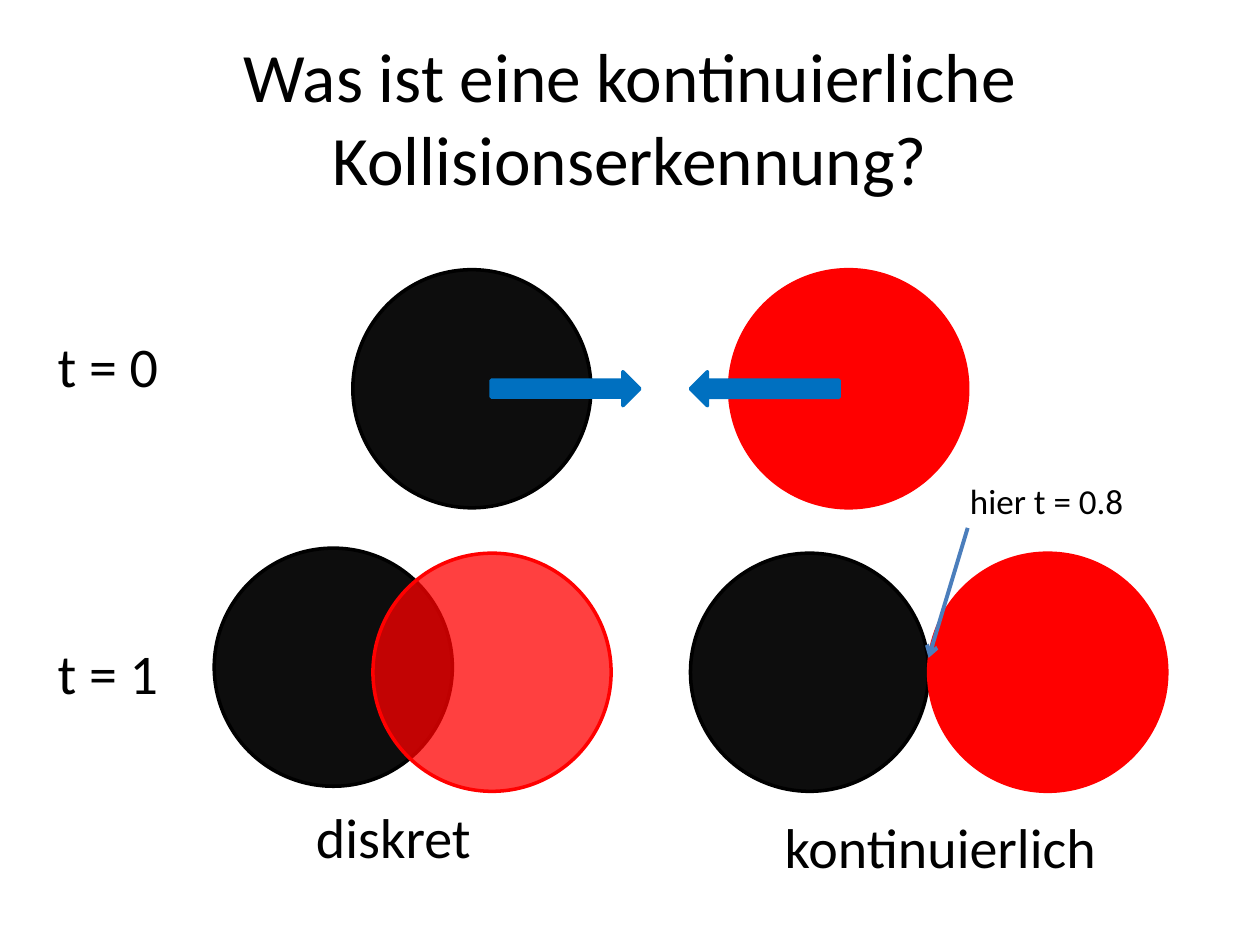
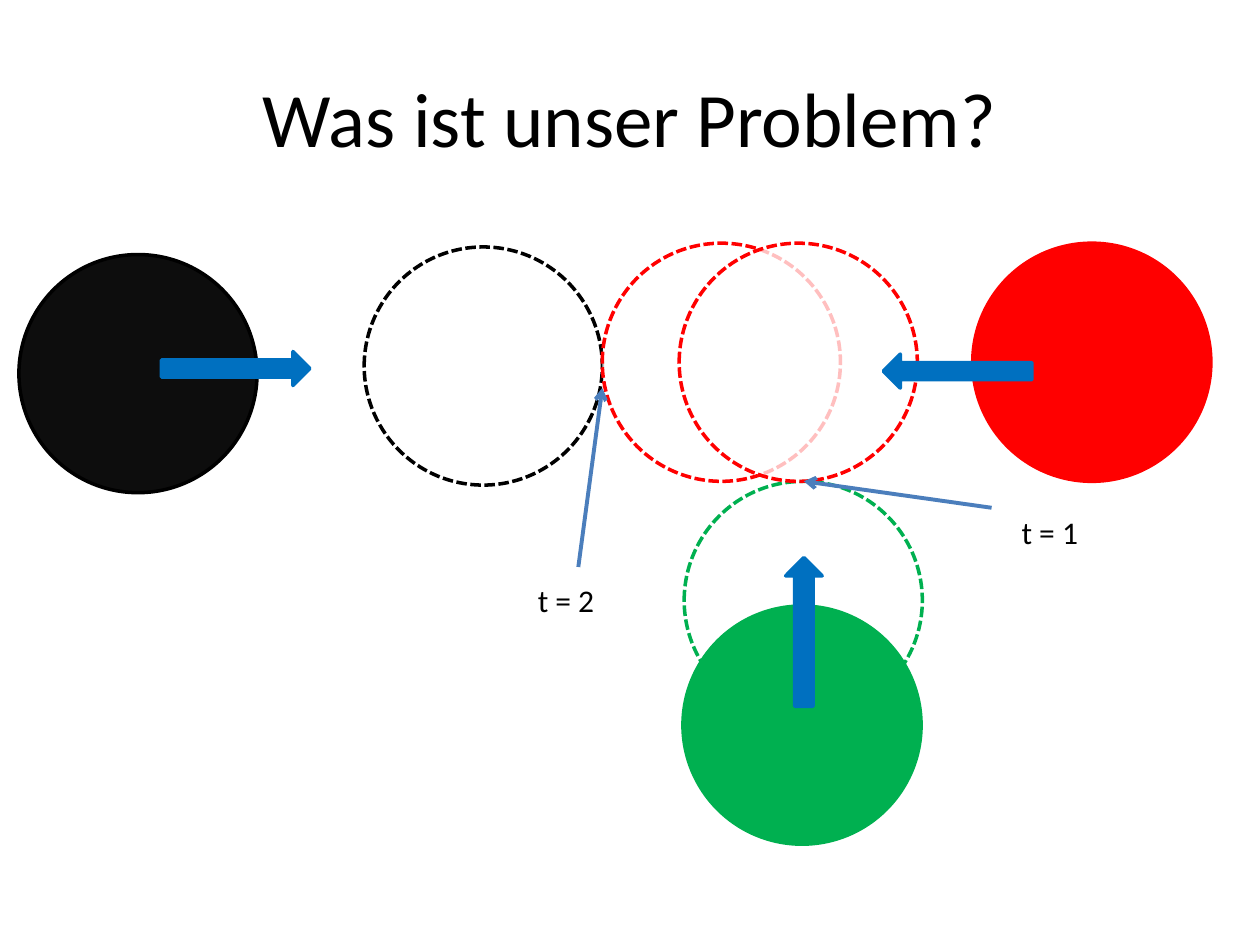
from collections import namedtuple

from pptx import Presentation
from pptx import util as u
from pptx.dml.color import RGBColor
from pptx.enum import dml, shapes, text
from pptx.oxml import ns, xmlchemy

BLACK = RGBColor(0x00, 0x00, 0x00)
COAL = RGBColor(0x0D, 0x0D, 0x0D)
WHITE = RGBColor(0xFF, 0xFF, 0xFF)
RED = RGBColor(0xFF, 0x00, 0x00)
GREEN = RGBColor(0x00, 0xB0, 0x50)
ARROW_BLUE = RGBColor(0x00, 0x70, 0xC0)
POINTER_BLUE = RGBColor(0x4B, 0x7E, 0xBC)

FONT = "Calibri"
SLIDE_W, SLIDE_H = 10, 7.5
BALL = 1.89
ARROW_L, ARROW_H = 1.18, 0.27

Box = namedtuple("Box", "x y w h")
TITLE = Box(0.05 * SLIDE_W, 0.04 * SLIDE_H, 0.9 * SLIDE_W, SLIDE_H / 6)


def sub(parent, tag, **attrs):
    """Append a DrawingML element with the given attributes."""
    el = xmlchemy.OxmlElement(tag)
    for key, value in attrs.items():
        el.set(key, value)
    parent.append(el)


def add_text(s, words, box, size=32, align=text.PP_ALIGN.LEFT,
             anchor=text.MSO_ANCHOR.TOP, wrap=False):
    """Add one paragraph of text in a box."""
    tf = s.shapes.add_textbox(*map(u.Inches, box)).text_frame
    tf.word_wrap = wrap
    tf.vertical_anchor = anchor
    p = tf.paragraphs[0]
    p.alignment = align
    r = p.add_run()
    r.text = words
    r.font.name, r.font.size = FONT, u.Pt(size)
    r.font.color.rgb = BLACK


def add_title(s, words, size):
    """Add the centred slide title."""
    add_text(s, words, TITLE, size, text.PP_ALIGN.CENTER,
             text.MSO_ANCHOR.MIDDLE, wrap=True)


def add_shape(s, kind, box, fill, line, alpha=None, dashed=False):
    """Add a filled and outlined preset shape."""
    sp = s.shapes.add_shape(kind, *map(u.Inches, box))
    sp.shadow.inherit = False
    sp.fill.solid()
    sp.fill.fore_color.rgb = fill
    sp.line.color.rgb = line
    sp.line.width = u.Pt(2)
    if dashed:
        sp.line.dash_style = dml.MSO_LINE.SQUARE_DOT
    if alpha:
        color = sp._element.spPr.find(ns.qn("a:solidFill"))[0]
        sub(color, "a:alpha", val=str(alpha * 1000))
    return sp


def add_ball(s, x, y, line, fill=None, **style):
    """Add a ball by its top left corner."""
    add_shape(s, shapes.MSO_SHAPE.OVAL, (x, y, BALL, BALL),
              fill or line, line, **style)


def add_ghost(s, x, y, line, alpha=None):
    """Add the dashed outline of a ball's later position."""
    add_ball(s, x, y, line, WHITE, alpha=alpha, dashed=True)


def add_motion(s, cx, cy, angle=0, height=ARROW_H):
    """Add a block arrow around its centre."""
    box = (cx - ARROW_L / 2, cy - height / 2, ARROW_L, height)
    sp = add_shape(s, shapes.MSO_SHAPE.RIGHT_ARROW, box, ARROW_BLUE, ARROW_BLUE)
    sp.rotation = angle


def add_pointer(s, start, end):
    """Add a thin line with an arrowhead at its end."""
    c = s.shapes.add_connector(shapes.MSO_CONNECTOR.STRAIGHT,
                               *map(u.Inches, (*start, *end)))
    c.line.color.rgb = POINTER_BLUE
    c.line.width = u.Pt(2.25)
    sub(c.line._get_or_add_ln(), "a:tailEnd", type="arrow")
    sub(c._element.spPr, "a:effectLst")


def start_state(s, box):
    """Draw two balls at the box's ends moving towards each other."""
    right, mid = box.x + box.w, box.y + box.h / 2
    add_ball(s, box.x, box.y, BLACK, COAL)
    add_ball(s, right - BALL, box.y, RED)
    add_motion(s, box.x + 0.346 * box.w, mid)
    add_motion(s, box.x + 0.67 * box.w, mid, 180)


def discrete_state(s, box):
    """Draw two overlapping balls and their caption."""
    add_ball(s, box.x, box.y, BLACK, COAL)
    add_ball(s, box.x + box.w - BALL, box.y + 0.04, RED, alpha=75)
    add_text(s, "diskret", (box.x + 0.71, box.y + box.h + 0.08, 1.44, 0.64))


def continuous_state(s, box):
    """Draw two touching balls, their caption and the time of contact."""
    touch = box.x + box.w / 2
    add_ball(s, box.x, box.y, BLACK, COAL)
    add_ball(s, touch, box.y, RED)
    add_text(s, "kontinuierlich",
             (box.x + 0.65, box.y + box.h + 0.12, 2.7, 0.64))
    add_pointer(s, (touch + 0.31, box.y - 0.2), (touch, box.y + 0.44 * box.h))
    add_text(s, "hier t = 0.8", (touch + 0.23, box.y - 0.63, 1.43, 0.44), 20)


def time_labels(s, box):
    """Label the two rows with their times."""
    for i in range(2):
        add_text(s, f"t = {i}", (box.x, box.y + i * box.h / 2, box.w, 0.64))


def black_path(s, box):
    """Draw the black ball and its position at contact."""
    add_ghost(s, box.x + box.w - BALL, box.y, BLACK)
    add_ball(s, box.x, box.y + 0.06, BLACK, COAL)
    add_motion(s, box.x + 1.72, box.y + 0.965)


def green_path(s, box):
    """Draw the green ball rising to its position at contact."""
    add_ghost(s, box.x + 0.01, box.y, GREEN)
    add_ball(s, box.x, box.y + box.h - BALL, GREEN)
    add_motion(s, box.x + 0.96, box.y + 1.195, 270, 0.29)


def red_path(s, box):
    """Draw the red ball and its positions at both contacts."""
    add_ball(s, box.x + box.w - BALL, box.y, RED)
    for shift in (0, 0.61):
        add_ghost(s, box.x + shift, box.y, RED, alpha=75)
    add_motion(s, box.x + 2.82, box.y + box.h / 2 + 0.07, 180)


def contact_times(s, box):
    """Point at both contacts from their time labels."""
    left, top = box.x, box.y
    add_pointer(s, (left + 0.42, top + 1.42), (left + 0.61, top))
    add_pointer(s, (left + 3.7, top + 0.95), (left + 2.21, top + 0.74))
    add_text(s, "t = 2", (left, top + box.h - 0.4, 0.66, 0.4), 18)
    add_text(s, "t = 1", (left + box.w - 0.66, top + 0.94, 0.66, 0.4), 18)


def detection_slide(prs):
    """Build the slide comparing discrete and continuous detection."""
    s = prs.slides.add_slide(prs.slide_layouts[6])
    add_title(s, "Was ist eine kontinuierliche Kollisionserkennung?", 39.6)
    discrete_state(s, Box(1.7, 4.35, 3.15, BALL))
    start_state(s, Box(2.8, 2.14, 4.88, BALL))
    continuous_state(s, Box(5.48, 4.39, 2 * BALL, BALL))
    time_labels(s, Box(0.36, 2.58, 1.01, 4.88))


def problem_slide(prs):
    """Build the slide with three balls meeting at different times."""
    s = prs.slides.add_slide(prs.slide_layouts[6])
    add_title(s, "Was ist unser Problem?", 44)
    green_path(s, Box(5.42, 3.82, BALL, 2.88))
    black_path(s, Box(0.15, 1.96, 4.63, BALL))
    red_path(s, Box(4.78, 1.93, 4.83, BALL))
    contact_times(s, Box(4.17, 3.08, 4.5, 1.88))


prs = Presentation()
prs.slide_width, prs.slide_height = u.Inches(SLIDE_W), u.Inches(SLIDE_H)
detection_slide(prs)
problem_slide(prs)
prs.save("out.pptx")
